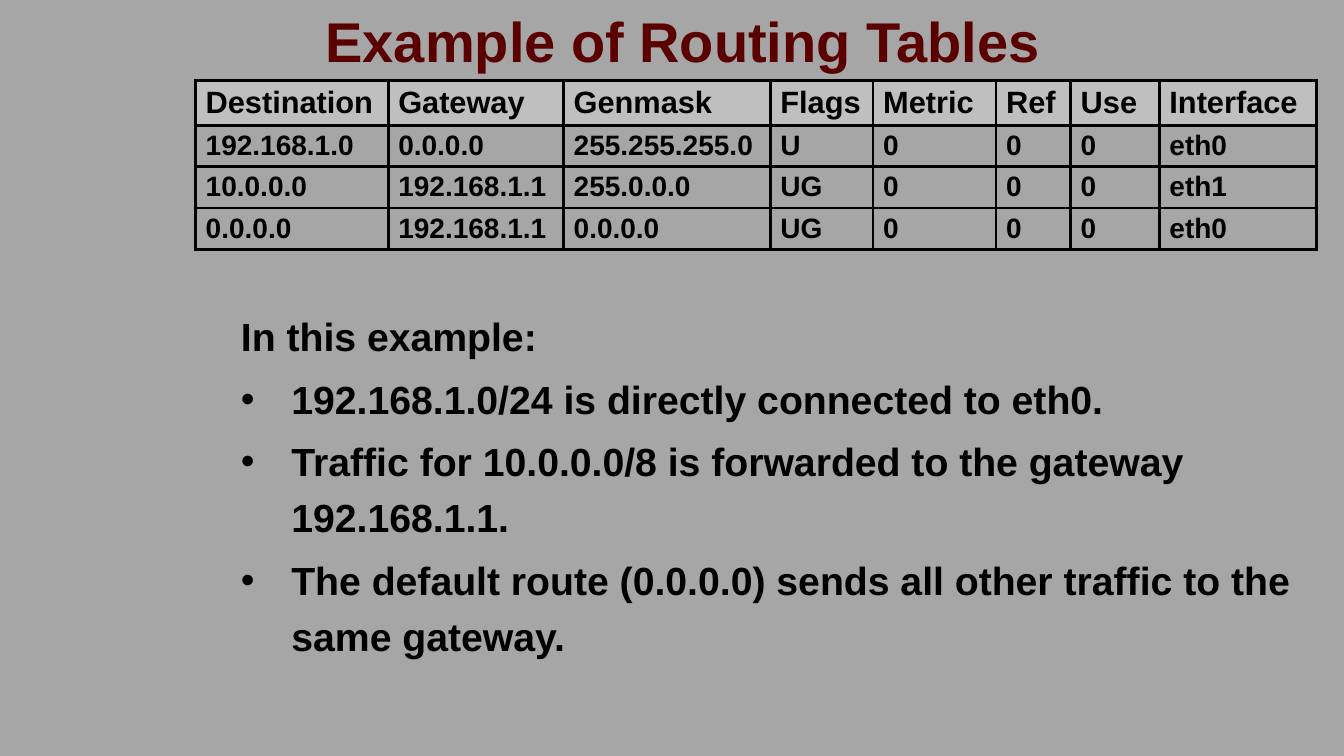
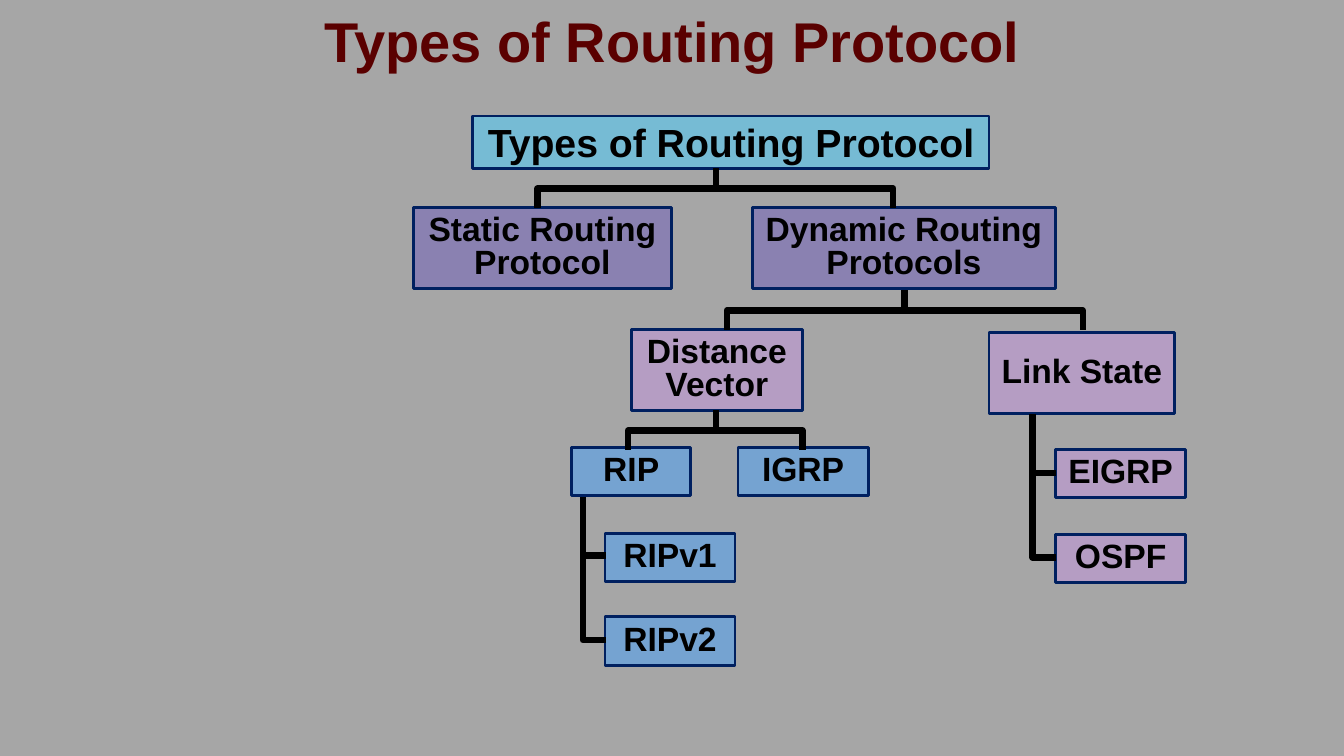
"""Build two slides on routing tables and routing protocol types."""
from dataclasses import dataclass
from typing import Any

from lxml.etree import SubElement
from pptx import Presentation
from pptx.dml.color import RGBColor
from pptx.enum.shapes import MSO_SHAPE
from pptx.enum.text import MSO_ANCHOR, MSO_AUTO_SIZE, PP_ALIGN
from pptx.oxml.ns import qn
from pptx.slide import Slide
from pptx.util import Inches, Pt

BLACK = RGBColor(0x00, 0x00, 0x00)
GREY = RGBColor(0xA6, 0xA6, 0xA6)
SILVER = RGBColor(0xBF, 0xBF, 0xBF)
MAROON = RGBColor(0x5A, 0x00, 0x00)
NAVY = RGBColor(0x00, 0x20, 0x60)
TEAL = RGBColor(0x76, 0xBB, 0xD4)
VIOLET = RGBColor(0x8A, 0x81, 0xB1)
LILAC = RGBColor(0xB5, 0x9D, 0xC3)
BLUE = RGBColor(0x75, 0xA3, 0xD1)

CELL = Inches(0.1)
WIDE_INSETS = {
    "margin_left": Inches(0.13), "margin_right": Inches(0.13),
    "margin_top": Inches(0.07), "margin_bottom": Inches(0.07),
    "word_wrap": True, "auto_size": MSO_AUTO_SIZE.NONE,
}
FONT = {"name": "Arial", "bold": True}


@dataclass(frozen=True)
class Box:
    text: str
    col: float
    row: float
    cols: float
    rows: float
    fill: RGBColor
    size: int = 24
    leading: int | None = 24


@dataclass(frozen=True)
class Fork:
    stem: float
    top: float
    ends: tuple[float, float]


@dataclass(frozen=True)
class Ladder:
    col: float
    top: float


@dataclass(frozen=True)
class Line:
    text: str
    bullet: bool = True


HEADERS = ("Destination", "Gateway", "Genmask", "Flags",
           "Metric", "Ref", "Use", "Interface")
ROUTES = (
    ("192.168.1.0", "0.0.0.0", "255.255.255.0", "U", "0", "0", "0", "eth0"),
    ("10.0.0.0", "192.168.1.1", "255.0.0.0", "UG", "0", "0", "0", "eth1"),
    ("0.0.0.0", "192.168.1.1", "0.0.0.0", "UG", "0", "0", "0", "eth0"),
)
COLUMN_WIDTHS = (19.1, 17.4, 20.5, 10.2, 12.2, 7.4, 8.8, 15.6)
ROW_HEIGHT = 4.1
LINES = (
    Line("In this example:", bullet=False),
    Line("192.168.1.0/24 is directly connected to eth0."),
    Line("Traffic for 10.0.0.0/8 is forwarded to the gateway 192.168.1.1."),
    Line("The default route (0.0.0.0) sends all other traffic to the same gateway."),
)
BOXES = (
    Box("Types of Routing Protocol", 46.9, 11.5, 51.2, 5.2, TEAL, 28, None),
    Box("Static Routing Protocol", 41, 20.6, 25.6, 8, VIOLET),
    Box("Dynamic Routing Protocols", 74.6, 20.6, 30.1, 8, VIOLET),
    Box("Distance Vector", 62.6, 32.7, 17, 8, LILAC),
    Box("Link State", 98.1, 33, 18.4, 8, LILAC),
    Box("RIP", 56.7, 44.4, 11.8, 4.8, BLUE),
    Box("IGRP", 73.2, 44.4, 12.9, 4.8, BLUE),
    Box("RIPv1", 60, 52.9, 12.9, 4.8, BLUE),
    Box("RIPv2", 60, 61.2, 12.9, 4.8, BLUE),
    Box("EIGRP", 104.7, 44.6, 12.9, 4.8, LILAC),
    Box("OSPF", 104.7, 53, 12.9, 4.8, LILAC),
)
FORKS = (
    Fork(71, 16.7, (53.3, 88.6)),
    Fork(89.7, 28.8, (72.1, 107.4)),
    Fork(71, 40.7, (62.3, 79.6)),
)
FORK_BAR, FORK_DROP = 2, 3.9
LADDERS = (Ladder(57.8, 49.3), Ladder(102.4, 41.1))
RUNGS, RUNG_LENGTH = (5.8, 14.2), 2.3


def grid(*units: float) -> list[int]:
    """Convert grid units to slide lengths."""
    return [round(u * CELL) for u in units]


def apply(target: Any, formats: dict[str, Any]) -> None:
    """Set every attribute named in the format values."""
    for name, value in formats.items():
        setattr(target, name, value)


def write(p: Any, text: str, size: int, color: RGBColor = BLACK) -> None:
    """Add a formatted run to a paragraph."""
    r = p.add_run()
    r.text = text
    apply(r.font, FONT | {"size": Pt(size)})
    r.font.color.rgb = color


def add_title(slide: Slide, text: str, place: tuple[float, ...]) -> None:
    """Place and format the title placeholder."""
    sp = slide.shapes.title
    apply(sp, dict(zip(("left", "top", "width", "height"), grid(*place))))
    tf = sp.text_frame
    apply(tf, WIDE_INSETS | {"vertical_anchor": MSO_ANCHOR.BOTTOM})
    tf.paragraphs[0].alignment = PP_ALIGN.CENTER
    write(tf.paragraphs[0], text, 40, MAROON)


def add_borders(cell: Any) -> None:
    """Draw black lines on all four sides of a table cell."""
    props = cell._tc.get_or_add_tcPr()
    for side in ("lnL", "lnR", "lnT", "lnB"):
        ln = SubElement(props, qn(f"a:{side}"), w=str(Pt(2.25)))
        fill = SubElement(ln, qn("a:solidFill"))
        SubElement(fill, qn("a:srgbClr"), val=str(BLACK))


def add_routes(slide: Slide) -> None:
    """Add the routing table."""
    rows = (HEADERS, *ROUTES)
    place = grid(19.4, 8, sum(COLUMN_WIDTHS), ROW_HEIGHT * len(rows))
    table = slide.shapes.add_table(len(rows), len(HEADERS), *place).table
    for column, width in zip(table.columns, grid(*COLUMN_WIDTHS)):
        column.width = width
    for i, row in enumerate(rows):
        table.rows[i].height = grid(ROW_HEIGHT)[0]
        for j, text in enumerate(row):
            cell = table.cell(i, j)
            add_borders(cell)
            if i == 0:
                cell.fill.solid()
                cell.fill.fore_color.rgb = SILVER
            else:
                cell.fill.background()
            write(cell.text_frame.paragraphs[0], text, 20 if i else 22)


def add_lines(slide: Slide) -> None:
    """Add the bulleted explanation."""
    tf = slide.shapes.add_textbox(*grid(20.9, 29.4, 112.4, 39.8)).text_frame
    apply(tf, WIDE_INSETS)
    for i, line in enumerate(LINES):
        p = tf.add_paragraph() if i else tf.paragraphs[0]
        apply(p, {"line_spacing": Pt(40), "space_before": Pt(4.8)})
        props = p._p.get_or_add_pPr()
        props.set("marL", str(Inches(0.67 if line.bullet else 0.17)))
        props.set("indent", str(Inches(-0.5 if line.bullet else 0)))
        if line.bullet:
            SubElement(props, qn("a:buFont"), typeface="Arial")
            SubElement(props, qn("a:buChar"), char="•")
        write(p, line.text, 28)


def add_box(slide: Slide, box: Box) -> None:
    """Add one labelled box of the tree."""
    sp = slide.shapes.add_shape(
        MSO_SHAPE.RECTANGLE, *grid(box.col, box.row, box.cols, box.rows))
    sp.shadow.inherit = False
    sp.fill.solid()
    sp.fill.fore_color.rgb = box.fill
    sp.line.color.rgb = NAVY
    sp.line.width = Pt(2)
    tf = sp.text_frame
    apply(tf, {"word_wrap": True, "vertical_anchor": MSO_ANCHOR.MIDDLE})
    p = tf.paragraphs[0]
    p.alignment = PP_ALIGN.CENTER
    if box.leading:
        p.line_spacing = Pt(box.leading)
    write(p, box.text, box.size)


def add_branch(slide: Slide, *points: tuple[float, float]) -> None:
    """Draw an open angled line through grid points."""
    start, *rest = [grid(*point) for point in points]
    builder = slide.shapes.build_freeform(*start)
    builder.add_line_segments(rest, close=False)
    sp = builder.convert_to_shape()
    sp.shadow.inherit = False
    sp.fill.background()
    sp.line.color.rgb = BLACK
    sp.line.width = Pt(4.5)


def add_tree(slide: Slide) -> None:
    """Add the protocol tree with its branches."""
    for box in BOXES:
        add_box(slide, box)
    for fork in FORKS:
        bar = fork.top + FORK_BAR
        for end in fork.ends:
            add_branch(slide, (fork.stem, fork.top), (fork.stem, bar),
                       (end, bar), (end, fork.top + FORK_DROP))
    for ladder in LADDERS:
        for rung in RUNGS:
            row = ladder.top + rung
            add_branch(slide, (ladder.col, ladder.top), (ladder.col, row),
                       (ladder.col + RUNG_LENGTH, row))


def main() -> None:
    """Build and save the presentation."""
    prs = Presentation()
    apply(prs, {"slide_width": Inches(13.33), "slide_height": Inches(7.5)})
    fill = prs.slide_master.background.fill
    fill.solid()
    fill.fore_color.rgb = GREY
    layout = prs.slide_layouts.get_by_name("Title Only")

    slide = prs.slides.add_slide(layout)
    add_title(slide, "Example of Routing Tables", (0.9, -0.5, 133.6, 8.5))
    add_routes(slide)
    add_lines(slide)

    slide = prs.slides.add_slide(layout)
    add_title(slide, "Types of Routing Protocol", (0, 0, 133.3, 8))
    add_tree(slide)
    prs.save("out.pptx")


if __name__ == "__main__":
    main()
